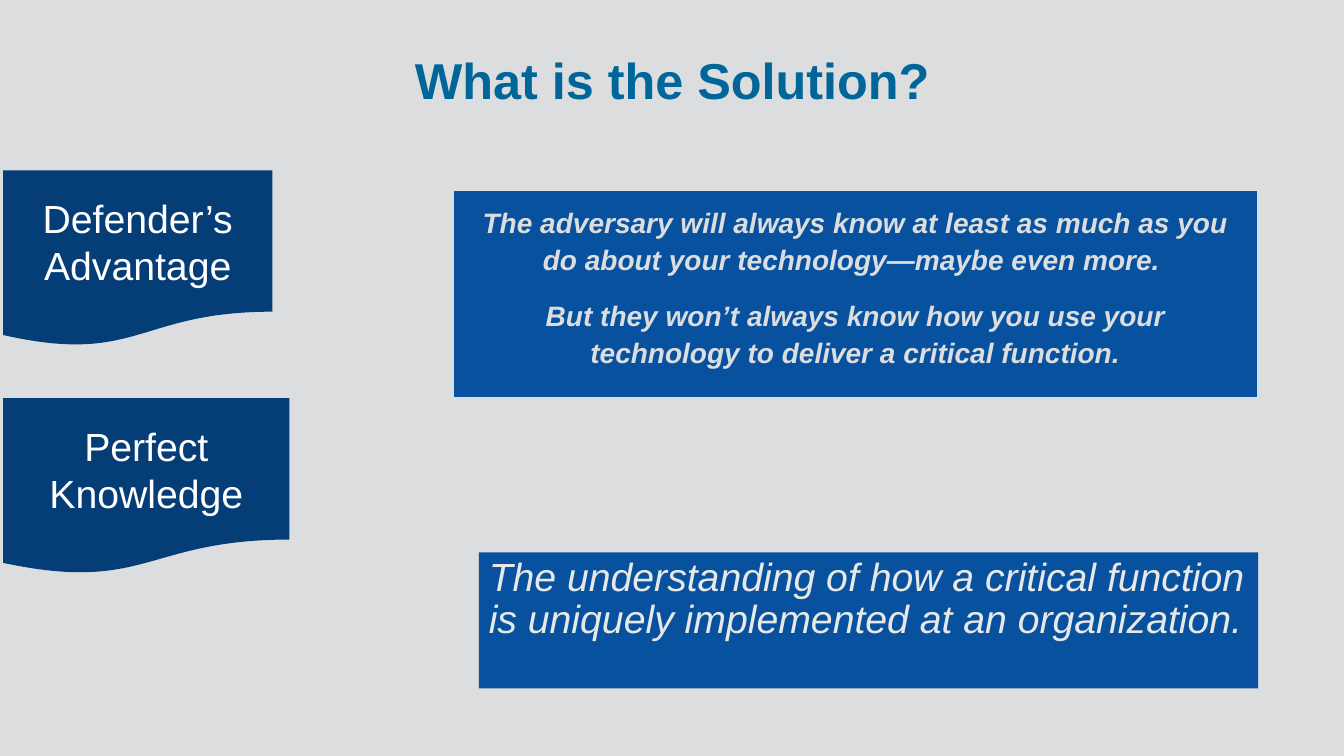
from dataclasses import dataclass
from typing import Any

import pptx
import pptx.dml.color
import pptx.enum.shapes
import pptx.enum.text
import pptx.oxml
import pptx.oxml.ns
import pptx.util

RGB = pptx.dml.color.RGBColor
SHAPE = pptx.enum.shapes.MSO_SHAPE
ALIGN = pptx.enum.text.PP_ALIGN
ANCHOR = pptx.enum.text.MSO_ANCHOR
AUTOSIZE = pptx.enum.text.MSO_AUTO_SIZE
Pt = pptx.util.Pt

GRAY = RGB(0xDC, 0xDD, 0xDE)
PALE = RGB(0xE7, 0xE8, 0xE8)
WHITE = RGB(0xFF, 0xFF, 0xFF)
BLUE = RGB(0x07, 0x51, 0x9E)
NAVY = RGB(0x05, 0x3D, 0x76)
TEAL = RGB(0x00, 0x66, 0x99)

WIDTH = pptx.util.Inches(13.33)
HEIGHT = pptx.util.Inches(7.5)


@dataclass(frozen=True)
class Area:
    """Left, top, width and height in percent of the slide."""
    x: float
    y: float
    w: float
    h: float


@dataclass(frozen=True)
class TextStyle:
    size: int
    color: RGB
    bold: bool = False
    italic: bool = False
    align: Any = ALIGN.CENTER
    anchor: Any = ANCHOR.TOP
    spacing: float = 1.0
    before: float = 0
    after: float = 0


@dataclass(frozen=True)
class Panel:
    kind: Any
    area: Area
    fill: RGB
    text: str
    style: TextStyle


TITLE = TextStyle(36, TEAL, bold=True, anchor=ANCHOR.MIDDLE, spacing=0.9)
QUOTE = TextStyle(20, GRAY, bold=True, italic=True, spacing=1.1, before=7.5, after=6)
LABEL = TextStyle(28, WHITE, anchor=ANCHOR.MIDDLE)
MEANING = TextStyle(28, PALE, italic=True, align=ALIGN.LEFT, spacing=0.9)

QUOTES = [
    "The adversary will always know at least as much as you do about your "
    "technology―maybe even more. ",
    "But they won’t always know how you use your technology to deliver a "
    "critical function.",
]
PANELS = [
    Panel(SHAPE.FLOWCHART_DOCUMENT, Area(0.23, 22.53, 20.03, 23.33), NAVY,
          "Defender’s Advantage", LABEL),
    Panel(SHAPE.RECTANGLE, Area(35.63, 73.07, 57.99, 18), BLUE,
          "The understanding of how a critical function is uniquely "
          "implemented at an organization.", MEANING),
    Panel(SHAPE.FLOWCHART_DOCUMENT, Area(0.23, 52.67, 21.31, 23.33), NAVY,
          "Perfect Knowledge", LABEL),
]


def set_attrs(obj: Any, values: dict[str, Any]) -> None:
    for name, value in values.items():
        setattr(obj, name, value)


def box(area: Area) -> dict[str, int]:
    return {"left": int(WIDTH * area.x / 100), "top": int(HEIGHT * area.y / 100),
            "width": int(WIDTH * area.w / 100), "height": int(HEIGHT * area.h / 100)}


def write(sp: Any, lines: list[str], style: TextStyle,
          auto_size: Any = AUTOSIZE.NONE) -> None:
    tf = sp.text_frame
    set_attrs(tf, {"word_wrap": True, "auto_size": auto_size,
                   "vertical_anchor": style.anchor})
    for i, line in enumerate(lines):
        p = tf.add_paragraph() if i else tf.paragraphs[0]
        set_attrs(p, {"alignment": style.align, "line_spacing": style.spacing,
                      "space_before": Pt(style.before if i else 0),
                      "space_after": Pt(style.after)})
        r = p.add_run()
        r.text = line
        set_attrs(r.font, {"name": "Arial", "size": Pt(style.size),
                           "bold": style.bold, "italic": style.italic})
        r.font.color.rgb = style.color


def remove_bullets(sp: Any) -> None:
    for p in sp.text_frame.paragraphs:
        pPr = p._p.get_or_add_pPr()
        pPr.set("marL", "0")
        pPr.set("indent", "0")
        pPr.append(pptx.oxml.parse_xml(
            f"<a:buNone {pptx.oxml.ns.nsdecls('a')}/>"))


def add_filled(slide: Any, kind: Any, area: Area, fill: RGB) -> Any:
    sp = slide.shapes.add_shape(kind, **box(area))
    sp.shadow.inherit = False
    sp.fill.solid()
    sp.fill.fore_color.rgb = fill
    sp.line.fill.background()
    return sp


def main() -> None:
    prs = pptx.Presentation()
    set_attrs(prs, {"slide_width": WIDTH, "slide_height": HEIGHT})
    slide = prs.slides.add_slide(prs.slide_layouts[1])
    slide.background.fill.solid()
    slide.background.fill.fore_color.rgb = GRAY

    # Title
    title = slide.shapes.title
    set_attrs(title, box(Area(6.9, 5.33, 86.27, 11.33)))
    write(title, ["What is the Solution?"], TITLE)

    # Quotes on an outlined panel, which lies behind the body placeholder
    body = slide.placeholders[1]
    set_attrs(body, box(Area(34.58, 26.13, 58.14, 23.33)))
    write(body, QUOTES, QUOTE, AUTOSIZE.SHAPE_TO_FIT_TEXT)
    remove_bullets(body)
    backing = add_filled(slide, SHAPE.RECTANGLE, Area(33.76, 25.2, 59.79, 27.47), BLUE)
    backing.line.color.rgb = GRAY
    backing.line.width = Pt(1)
    body.element.addprevious(backing.element)

    # Labels and the meaning of perfect knowledge
    for panel in PANELS:
        sp = add_filled(slide, panel.kind, panel.area, panel.fill)
        write(sp, [panel.text], panel.style)

    prs.save("out.pptx")


if __name__ == "__main__":
    main()
